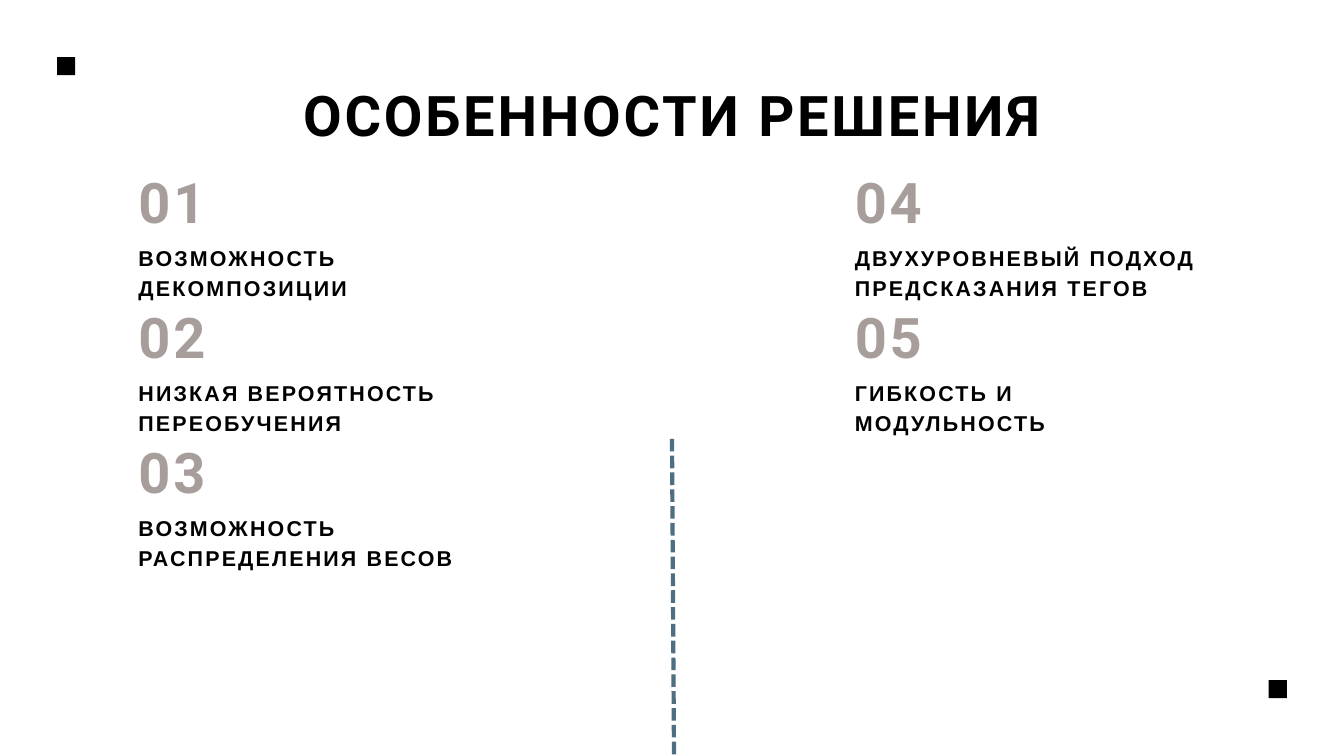
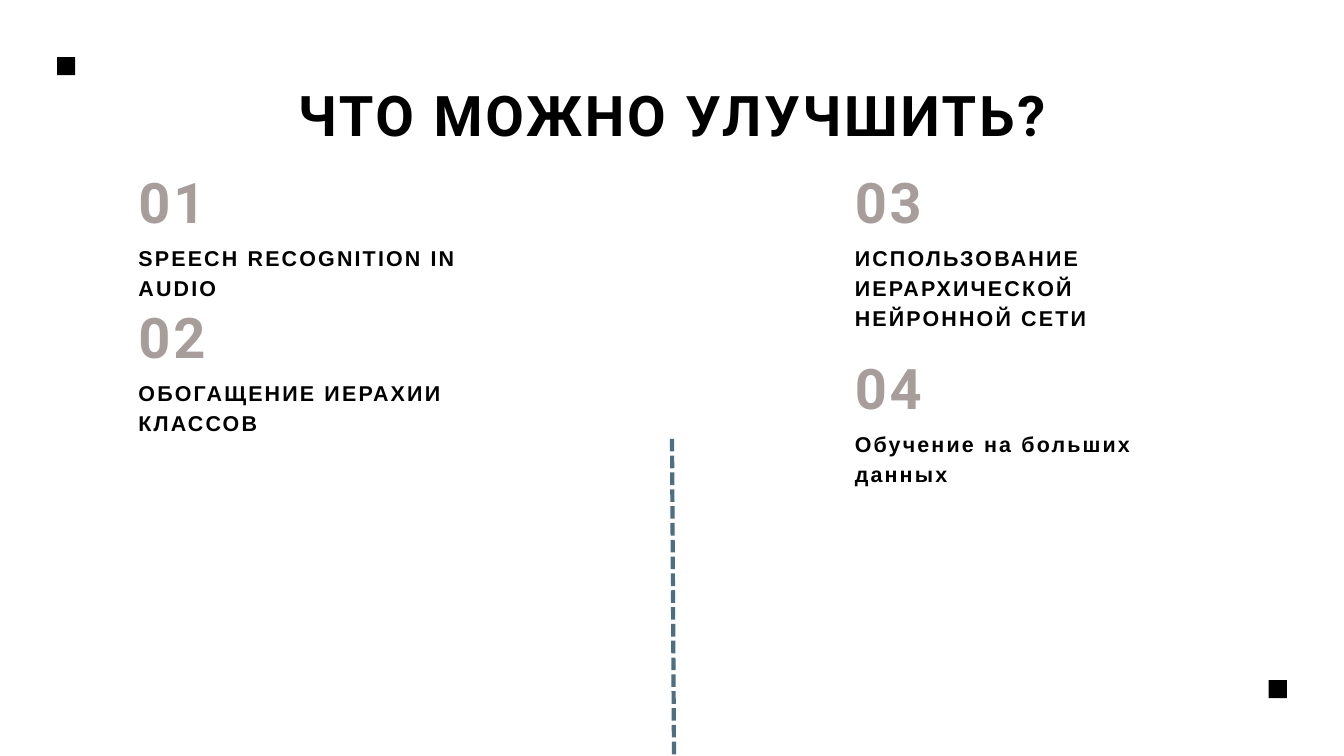
"""Build two numbered-list slides with a shared title, divider and corner marks."""
from dataclasses import dataclass

from lxml import etree
from pptx import Presentation
from pptx.dml.color import RGBColor
from pptx.enum.dml import MSO_LINE
from pptx.enum.shapes import MSO_CONNECTOR, MSO_SHAPE
from pptx.enum.text import MSO_AUTO_SIZE, PP_ALIGN
from pptx.oxml.ns import qn
from pptx.util import Inches, Pt

LEFT, CENTER = PP_ALIGN.LEFT, PP_ALIGN.CENTER
GROW = MSO_AUTO_SIZE.SHAPE_TO_FIT_TEXT
STRAIGHT, SQUARE = MSO_CONNECTOR.STRAIGHT, MSO_SHAPE.RECTANGLE
DASH = MSO_LINE.SQUARE_DOT


@dataclass(frozen=True)
class TextStyle:
    """Font, size, line pitch and letter spacing of a text, in points."""
    font: str
    size: float
    pitch: float
    spacing: float


@dataclass(frozen=True)
class Theme:
    """Colours and type shared by both slides."""
    paper: RGBColor = RGBColor(0xFF, 0xFF, 0xFF)
    ink: RGBColor = RGBColor(0, 0, 0)
    number: RGBColor = RGBColor(0xA7, 0x9E, 0x9C)
    divider: RGBColor = RGBColor(0x4E, 0x6E, 0x81)
    divider_width: float = 4.5
    heading: TextStyle = TextStyle("Roboto", 60, 84, 3)
    body: TextStyle = TextStyle("Arial", 23, 32.2, 2.3)


THEME = Theme()
PAGE_WIDTH, PAGE_HEIGHT = 20, 11.25
LEFT_COLUMN, RIGHT_COLUMN = 2.06, 12.72
COLUMN_WIDTH, TITLE_WIDTH = 5.22, 15.88
TITLE_TOP, FIRST_TOP, ITEM_STEP = 1.03, 2.33, 2.01
HEADING_HEIGHT, LABEL_HEIGHT, LABEL_OFFSET = 1.18, 0.86, 1.25
MARK_SIZE = 0.27
MARK_CORNERS = ((0.85, 0.85), (18.88, 10.12))


def add_text(page, text, left, top, width, height, style, color, align=LEFT):
    """Add one bold, letter-spaced paragraph in a box without margins."""
    box = page.shapes.add_textbox(Inches(left), Inches(top), Inches(width), Inches(height))
    frame = box.text_frame
    frame.word_wrap = True
    frame.auto_size = GROW
    frame.margin_left = frame.margin_right = frame.margin_top = frame.margin_bottom = 0
    para = frame.paragraphs[0]
    para.alignment = align
    para.line_spacing = Pt(style.pitch)
    font = para.font
    font.name, font.size, font.bold = style.font, Pt(style.size), True
    font.color.rgb = color
    span = para.add_run()
    span.text = text
    span._r.get_or_add_rPr().set("spc", str(round(style.spacing * 100)))


def add_item(page, number, label, left, top):
    """Add a large number with its label below."""
    add_text(page, f"{number:02}", left, top, COLUMN_WIDTH, HEADING_HEIGHT,
             THEME.heading, THEME.number)
    add_text(page, label, left, top + LABEL_OFFSET, COLUMN_WIDTH, LABEL_HEIGHT,
             THEME.body, THEME.ink)


def add_column(page, labels, left, first_number, step=ITEM_STEP):
    """Stack numbered items at an equal step."""
    for index, label in enumerate(labels):
        add_item(page, first_number + index, label, left, FIRST_TOP + index * step)


def add_divider(page):
    """Add the dashed line that runs to the bottom edge."""
    line = page.shapes.add_connector(STRAIGHT, Inches(10), Inches(6.53),
                                     Inches(10.03), Inches(PAGE_HEIGHT))
    line.line.color.rgb = THEME.divider
    line.line.width = Pt(THEME.divider_width)
    line.line.dash_style = DASH
    etree.SubElement(line._element.spPr, qn("a:effectLst"))


def add_mark(page, left, top):
    """Add a small solid corner square."""
    mark = page.shapes.add_shape(SQUARE, Inches(left), Inches(top),
                                 Inches(MARK_SIZE), Inches(MARK_SIZE))
    mark.shadow.inherit = False
    mark.fill.solid()
    mark.fill.fore_color.rgb = THEME.ink
    mark.line.fill.background()


def add_page(deck, title):
    """Add a slide with its title, divider and corner marks."""
    page = deck.slides.add_slide(deck.slide_layouts[6])
    page.background.fill.solid()
    page.background.fill.fore_color.rgb = THEME.paper
    add_text(page, title, LEFT_COLUMN, TITLE_TOP, TITLE_WIDTH, HEADING_HEIGHT,
             THEME.heading, THEME.ink, CENTER)
    add_divider(page)
    for left, top in MARK_CORNERS:
        add_mark(page, left, top)
    return page


def main():
    """Build and save the deck."""
    deck = Presentation()
    deck.slide_width, deck.slide_height = Inches(PAGE_WIDTH), Inches(PAGE_HEIGHT)

    features = add_page(deck, "ОСОБЕННОСТИ РЕШЕНИЯ")
    add_column(features, ("ВОЗМОЖНОСТЬ ДЕКОМПОЗИЦИИ",
                          "НИЗКАЯ ВЕРОЯТНОСТЬ ПЕРЕОБУЧЕНИЯ",
                          "ВОЗМОЖНОСТЬ РАСПРЕДЕЛЕНИЯ ВЕСОВ"), LEFT_COLUMN, 1)
    add_column(features, ("ДВУХУРОВНЕВЫЙ ПОДХОД ПРЕДСКАЗАНИЯ ТЕГОВ",
                          "ГИБКОСТЬ И МОДУЛЬНОСТЬ"), RIGHT_COLUMN, 4)

    improvements = add_page(deck, "ЧТО МОЖНО УЛУЧШИТЬ?")
    add_column(improvements, ("SPEECH RECOGNITION IN AUDIO",
                              "ОБОГАЩЕНИЕ ИЕРАХИИ КЛАССОВ"), LEFT_COLUMN, 1)
    add_column(improvements, ("ИСПОЛЬЗОВАНИЕ ИЕРАРХИЧЕСКОЙ НЕЙРОННОЙ СЕТИ",
                              "Обучение на больших данных"), RIGHT_COLUMN, 3, step=2.77)

    deck.save("out.pptx")


if __name__ == "__main__":
    main()
